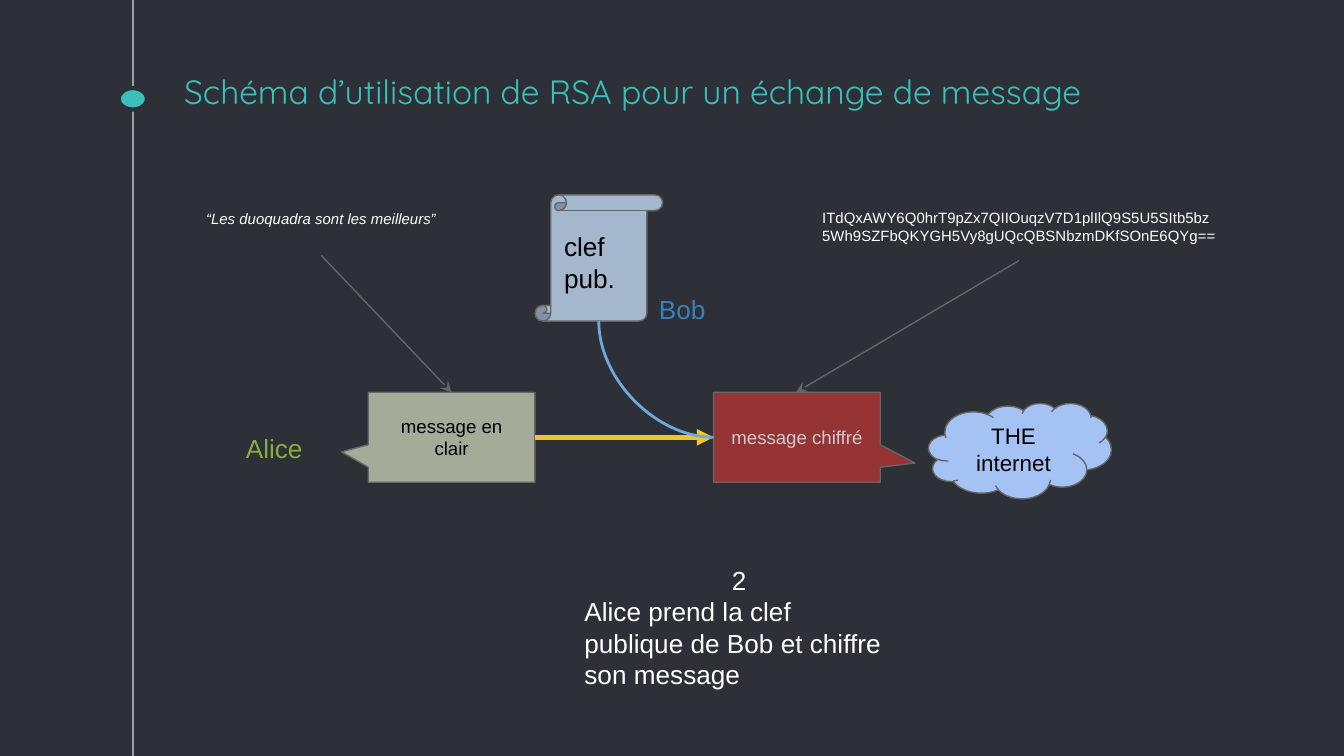
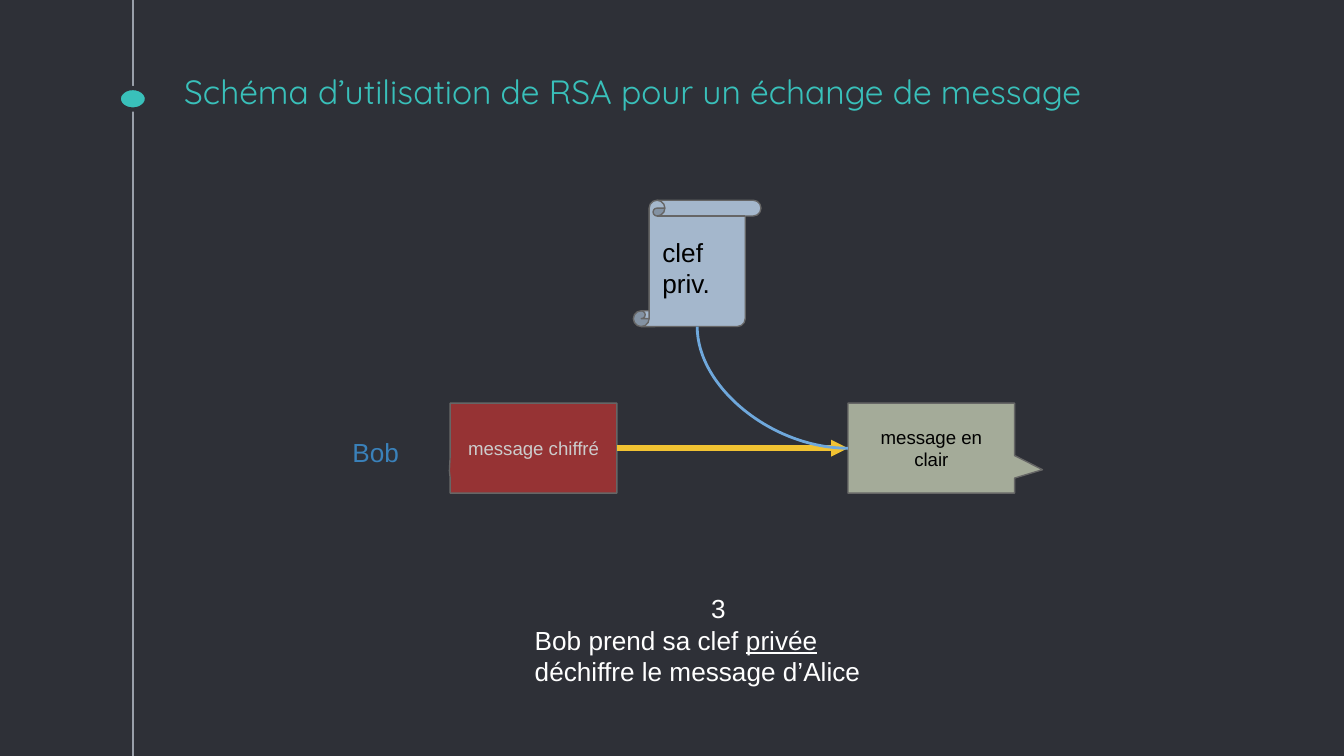
from lxml.etree import SubElement
from pptx import Presentation
from pptx.dml.color import RGBColor
from pptx.enum.shapes import MSO_CONNECTOR, MSO_SHAPE
from pptx.enum.text import MSO_ANCHOR, PP_ALIGN
from pptx.oxml.ns import qn
from pptx.util import Pt

DARK = RGBColor(0x2E, 0x30, 0x37)
TEAL = RGBColor(0x39, 0xC0, 0xBA)
RAIL = RGBColor(0x99, 0x9F, 0xA9)
GREY = RGBColor(0x66, 0x66, 0x66)
PALE = RGBColor(0xCC, 0xCC, 0xCC)
WHITE = RGBColor(0xFF, 0xFF, 0xFF)
BLACK = RGBColor(0, 0, 0)
LIME = RGBColor(0x8B, 0xAB, 0x42)
BLUE = RGBColor(0x3A, 0x81, 0xBA)
STEEL = RGBColor(0xA4, 0xB7, 0xCC)
SAGE = RGBColor(0xA4, 0xAB, 0x99)
RED = RGBColor(0x96, 0x33, 0x34)
GOLD = RGBColor(0xF1, 0xC2, 0x32)
SKY = RGBColor(0x6F, 0xA8, 0xDC)
CLOUD = RGBColor(0xA4, 0xC2, 0xF4)

LEFT, MID = PP_ALIGN.LEFT, PP_ALIGN.CENTER
TITLE = "Schéma d’utilisation de RSA pour un échange de message"
CLEAR = ("message en clair", SAGE, BLACK)
CIPHER = ("message chiffré", RED, PALE)
BOX_W, BOX_H = 89.3, 48.2
KEY_W, KEY_H = 68.4, 67.7
TAG_W, TAG_H = 49.7, 27.4


def put(slide, box, text, size, color, align=LEFT, kind=None, fill=None, font="Arial"):
    """Add a text box, or a filled shape with text when a kind is given."""
    area = [Pt(v) for v in box]
    if kind is None:
        shape = slide.shapes.add_textbox(*area)
    else:
        shape = slide.shapes.add_shape(kind, *area)
        shape.shadow.inherit = False
        shape.fill.solid()
        shape.fill.fore_color.rgb = fill
        shape.line.color.rgb = GREY
        shape.line.width = Pt(0.75)
    frame = shape.text_frame
    frame.word_wrap = True
    frame.margin_left = frame.margin_right = Pt(7.2)
    frame.margin_top = frame.margin_bottom = Pt(7.2)
    frame.vertical_anchor = MSO_ANCHOR.TOP if kind is None else MSO_ANCHOR.MIDDLE
    frame.text = text
    para = frame.paragraphs[0]
    para.alignment = align
    para.font.size = Pt(size)
    para.font.name = font
    para.font.color.rgb = color
    return shape


def link(slide, ends, color, width, tip=None, kind=MSO_CONNECTOR.STRAIGHT):
    """Add a connector, with an arrowhead at its end when a tip is given."""
    line = slide.shapes.add_connector(kind, *[Pt(v) for v in ends])
    line.line.color.rgb = color
    line.line.width = Pt(width)
    if tip:
        SubElement(line.line._get_or_add_ln(), qn("a:tailEnd"), type=tip)
    SubElement(line._element.spPr, qn("a:effectLst"))
    return line


# What differs between the two steps: places, key, messages, note
STEPS = [
    dict(key="clef pub.", scroll=(286.6, 104.4), top=210.2,
         boxes=[(197.3, CLEAR, (-0.66, 0.162)), (382.3, CIPHER, (0.708, 0.287))],
         bob=(340.6, 149.8), note=(306, 295.2, 180, 108.7), num="2",
         runs=["Alice prend la clef publique de Bob et chiffre son message"]),
    dict(key="clef priv.", scroll=(339.3, 107.3), top=216,
         boxes=[(241.2, CIPHER, (-0.505, 0.252)), (454.3, CLEAR, (0.667, 0.24))],
         bob=(176.4, 226.8), note=(279.4, 310.3, 211, 75.6), num="3",
         runs=["Bob prend sa clef ", "privée", " déchiffre le message d’Alice"]),
]

deck = Presentation()
deck.slide_width, deck.slide_height = Pt(720), Pt(405)
slides = []

for step in STEPS:
    slide = deck.slides.add_slide(deck.slide_layouts[6])
    slides.append(slide)
    slide.background.fill.solid()
    slide.background.fill.fore_color.rgb = DARK

    # Side rail, dot and title
    link(slide, (71.2, 0, 71.2, 405), RAIL, 0.75)
    dot = put(slide, (63.6, 47.2, 15.1, 11.5), "", 10, WHITE, MID, MSO_SHAPE.OVAL, TEAL)
    dot.line.color.rgb = DARK
    dot.line.width = Pt(2.25)
    head = put(slide, (91.6, 39.4, 540, 27.4), TITLE, 18, TEAL, font="Quicksand")
    head.text_frame.vertical_anchor = MSO_ANCHOR.BOTTOM

    # Numbered note
    note = put(slide, step["note"], step["num"], 14, WHITE, MID)
    para = note.text_frame.add_paragraph()
    para.alignment = LEFT
    for text in step["runs"]:
        run = para.add_run()
        run.text = text
        if text == "privée":
            run.font.underline = True
    para.font.size = Pt(14)
    para.font.name = "Arial"
    para.font.color.rgb = WHITE

    # Bob and his key
    put(slide, (*step["bob"], TAG_W, TAG_H), "Bob", 14, BLUE, MID)
    put(slide, (*step["scroll"], KEY_W, KEY_H), step["key"], 14, BLACK, LEFT,
        MSO_SHAPE.VERTICAL_SCROLL, STEEL)

    # Messages before and after the key is used
    top = step["top"]
    for x, (text, fill, color), tail in step["boxes"]:
        call = put(slide, (x, top, BOX_W, BOX_H), text, 10, color, MID,
                   MSO_SHAPE.RECTANGULAR_CALLOUT, fill)
        call.adjustments[0], call.adjustments[1] = tail

    # Arrow between the messages
    start, end = step["boxes"][0][0] + BOX_W, step["boxes"][1][0]
    mid = top + BOX_H / 2
    link(slide, (start, mid, end, mid), GOLD, 3, "triangle")

    # Curve from the key: a quarter bend, turned to leave downwards
    x, y = step["scroll"][0] + KEY_W / 2, step["scroll"][1] + KEY_H
    wide, high = end - x, mid - y
    cx, cy = (x + end) / 2, (y + mid) / 2
    bend = link(slide, (cx - high / 2, cy - wide / 2, cx + high / 2, cy + wide / 2),
                SKY, 1.5, kind=MSO_CONNECTOR.CURVE)
    geom = bend._element.spPr
    geom.find(qn("a:prstGeom")).set("prst", "curvedConnector2")
    geom.find(qn("a:xfrm")).set("rot", "16200000")
    geom.find(qn("a:xfrm")).set("flipH", "1")

# Step 2 only: Alice, the network and the sample texts
send = slides[0]
put(send, (124.6, 224.6, TAG_W, TAG_H), "Alice", 14, LIME)
put(send, (497.5, 216, 97.9, 51.1), "THE internet", 12, BLACK, MID, MSO_SHAPE.CLOUD, CLOUD)
put(send, (433.4, 104.4, 226.1, 35.3),
    "ITdQxAWY6Q0hrT9pZx7QIIOuqzV7D1plIlQ9S5U5SItb5bz5Wh9SZFbQKYGH5Vy8gUQcQBSNbzmDKfSOnE6QYg==",
    8, WHITE)
quote = put(send, (85.7, 107.3, 172.8, 29.5), "“Les duoquadra sont les meilleurs”", 8, WHITE, MID)
quote.text_frame.paragraphs[0].font.italic = True
for ends in [(545.8, 139.7, 426.5, 210.2), (172.1, 136.8, 241.9, 210.2)]:
    link(send, ends, GREY, 0.75, "stealth")

deck.save("out.pptx")
